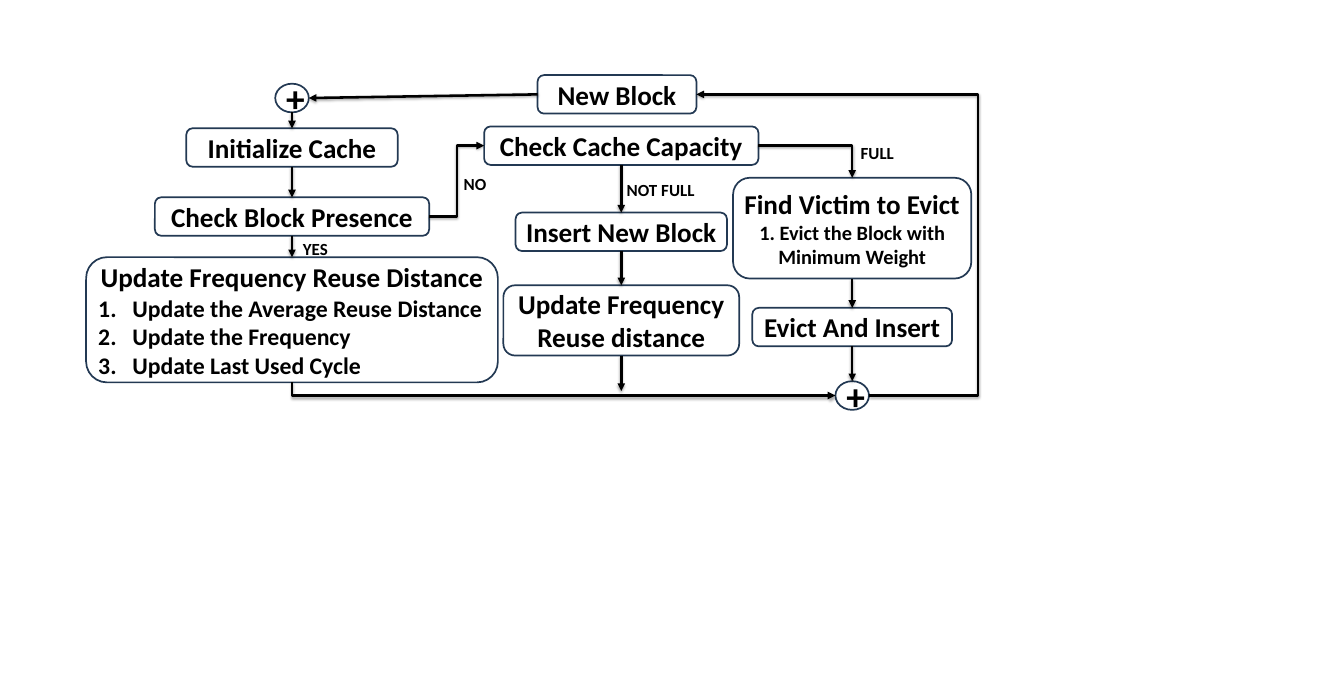
import pptx
import pptx.util
import pptx.dml.color
import pptx.enum.shapes
import pptx.enum.text
import pptx.oxml
import pptx.oxml.ns

Inches, Pt = pptx.util.Inches, pptx.util.Pt
SHAPE = pptx.enum.shapes.MSO_SHAPE
CONNECTOR = pptx.enum.shapes.MSO_CONNECTOR
ALIGN = pptx.enum.text.PP_ALIGN
ANCHOR = pptx.enum.text.MSO_ANCHOR

FONT, BLACK, OUTLINE = "Calibri", "000000", "233953"
LEFT, MIDDLE, RIGHT = 4.78, 10.17, 13.95   # column centres
ROW = 0.63                                 # height of a one-line step

# key: (column centre, top, width, height, heading, heading size, detail size, details, numbered)
STEPS = {
    "start": (LEFT, 1.37, 0.55, 0.47, "+", 44),
    "init": (LEFT, 2.1, 3.46, ROW, "Initialize Cache", 32),
    "new": (10.1, 1.23, 2.6, ROW, "New Block", 32),
    "hit": (LEFT, 4.21, 6.74, 2.05, "Update Frequency Reuse Distance", 32, 28,
            ["Update the Average Reuse Distance", "Update the Frequency",
             "Update Last Used Cycle"], True),
    "capacity": (MIDDLE, 2.07, 4.49, ROW, "Check Cache Capacity", 32),
    "insert": (MIDDLE, 3.48, 3.46, ROW, "Insert New Block", 32),
    "update": (MIDDLE, 4.67, 3.86, 1.15, "Update Frequency Reuse distance", 32),
    "presence": (LEFT, 3.23, 4.49, ROW, "Check Block Presence", 32),
    "victim": (RIGHT, 2.91, 3.9, 1.65, "Find Victim to Evict", 32, 24,
               ["1. Evict the Block with Minimum Weight"], False),
    "evict": (RIGHT, 5.04, 3.27, ROW, "Evict And Insert", 32),
    "join": (RIGHT, 6.24, 0.55, 0.47, "+", 44),
}
DOWNWARD = [("start", "init"), ("init", "presence"), ("presence", "hit"),
            ("capacity", "insert"), ("insert", "update"),
            ("victim", "evict"), ("evict", "join")]
# (text, left, top, width)
BRANCHES = [("NO", 7.49, 2.79, 0.58), ("YES", 4.86, 3.86, 0.61),
            ("FULL", 13.99, 2.29, 0.75), ("NOT FULL", 10.16, 2.89, 1.32)]
RETURN_LANE, NO_LANE = 16.01, 7.48         # x of the vertical runs
MERGE_END = 6.4

SHADOW = (f'<a:effectLst {pptx.oxml.ns.nsdecls("a")}>'
          '<a:outerShdw blurRad="39370" dist="22860" dir="5400000" rotWithShape="0">'
          '<a:srgbClr val="000000"><a:alpha val="35000"/></a:srgbClr>'
          '</a:outerShdw></a:effectLst>')


def rgb(value):
    return pptx.dml.color.RGBColor.from_string(value)


def write(paragraph, text, size, align):
    paragraph.alignment = align
    run = paragraph.add_run()
    run.text = text
    for name, value in {"name": FONT, "size": Pt(size), "bold": True}.items():
        setattr(run.font, name, value)
    run.font.color.rgb = rgb(BLACK)


def number(paragraph):
    properties = paragraph._p.get_or_add_pPr()
    properties.set("marL", str(Inches(0.56)))
    properties.set("indent", str(-Inches(0.56)))
    bullet = pptx.oxml.parse_xml(
        f'<a:buAutoNum {pptx.oxml.ns.nsdecls("a")} type="arabicPeriod"/>')
    properties.append(bullet)


def add_step(shapes, centre, top, width, height, heading, size,
             detail_size=None, details=(), numbered=False):
    kind = SHAPE.FLOWCHART_CONNECTOR if heading == "+" else SHAPE.ROUNDED_RECTANGLE
    step = shapes.add_shape(kind, Inches(centre - width / 2), Inches(top),
                            Inches(width), Inches(height))
    step.shadow.inherit = False
    step.fill.background()
    step.line.color.rgb = rgb(OUTLINE)
    step.line.width = Pt(2)
    frame = step.text_frame
    frame.word_wrap = True
    frame.vertical_anchor = ANCHOR.MIDDLE
    write(frame.paragraphs[0], heading, size, ALIGN.CENTER)
    for detail in details:
        paragraph = frame.add_paragraph()
        write(paragraph, detail, detail_size, ALIGN.LEFT if numbered else ALIGN.CENTER)
        if numbered:
            number(paragraph)


def add_branch(shapes, text, left, top, width):
    label = shapes.add_textbox(Inches(left), Inches(top), Inches(width), Inches(0.44))
    label.text_frame.word_wrap = False
    write(label.text_frame.paragraphs[0], text, 20, ALIGN.LEFT)


def side(key, where):
    centre, top, width, height = STEPS[key][:4]
    return {"top": (centre, top), "bottom": (centre, top + height),
            "left": (centre - width / 2, top + height / 2),
            "right": (centre + width / 2, top + height / 2)}[where]


def add_arrow(shapes, begin, end, lane=None, corner=False, arrow="tailEnd"):
    """Straight, with one corner (horizontal run first), or by a vertical lane."""
    kind = CONNECTOR.ELBOW if corner or lane else CONNECTOR.STRAIGHT
    link = shapes.add_connector(kind, *map(Inches, begin + end))
    link.line.color.rgb = rgb(BLACK)
    link.line.width = Pt(3)
    properties = link._element.spPr
    geometry = properties.find(pptx.oxml.ns.qn("a:prstGeom"))
    if corner:
        geometry.set("prst", "bentConnector2")
    if lane:
        share = round((lane - begin[0]) / (end[0] - begin[0]) * 100000)
        guide = pptx.oxml.parse_xml(
            f'<a:gd {pptx.oxml.ns.nsdecls("a")} name="adj1" fmla="val {share}"/>')
        geometry.find(pptx.oxml.ns.qn("a:avLst")).append(guide)
    head = pptx.oxml.parse_xml(f'<a:{arrow} {pptx.oxml.ns.nsdecls("a")} type="triangle"/>')
    properties.find(pptx.oxml.ns.qn("a:ln")).append(head)
    properties.append(pptx.oxml.parse_xml(SHADOW))


def main():
    deck = pptx.Presentation()
    deck.slide_width, deck.slide_height = Inches(22), Inches(11.23)
    shapes = deck.slides.add_slide(deck.slide_layouts[6]).shapes

    for step in STEPS.values():
        add_step(shapes, *step)
    for branch in BRANCHES:
        add_branch(shapes, *branch)
    for upper, lower in DOWNWARD:
        add_arrow(shapes, side(upper, "bottom"), side(lower, "top"))

    add_arrow(shapes, side("new", "left"), side("start", "right"))
    add_arrow(shapes, side("update", "bottom"), (MIDDLE, MERGE_END))
    add_arrow(shapes, side("capacity", "right"), side("victim", "top"), corner=True)
    add_arrow(shapes, side("join", "left"), side("hit", "bottom"),
              corner=True, arrow="headEnd")
    add_arrow(shapes, side("join", "right"), side("new", "right"), lane=RETURN_LANE)
    add_arrow(shapes, side("presence", "right"), side("capacity", "left"), lane=NO_LANE)
    deck.save("out.pptx")


if __name__ == "__main__":
    main()
